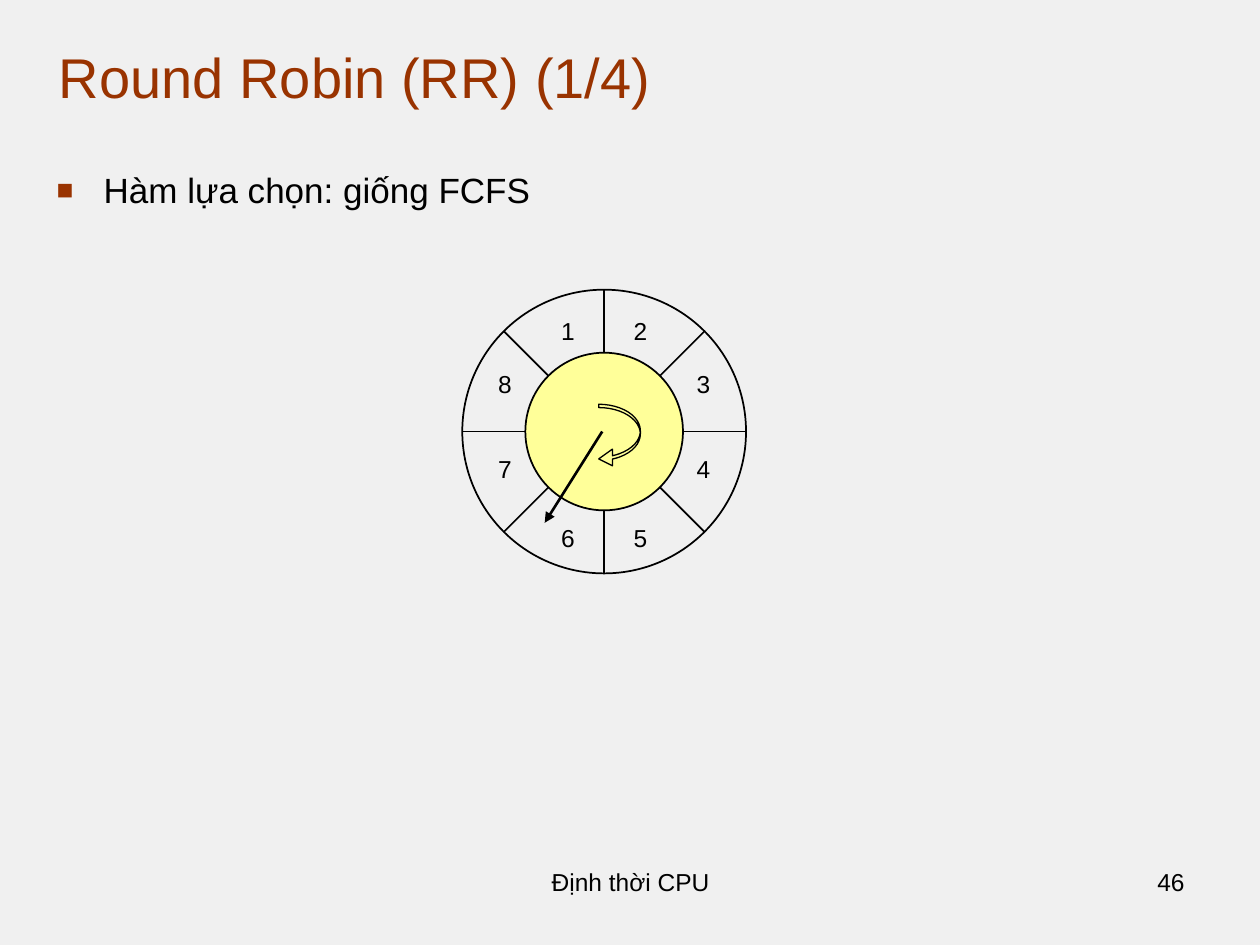
from dataclasses import dataclass
from math import cos, pi, sin

from lxml.etree import SubElement
from pptx import Presentation
from pptx.dml.color import RGBColor
from pptx.enum.shapes import MSO_CONNECTOR, MSO_SHAPE
from pptx.enum.text import MSO_ANCHOR, PP_ALIGN
from pptx.oxml.ns import qn
from pptx.util import Cm, Pt


@dataclass(frozen=True)
class Theme:
    """Colours, font and type sizes of the slide."""
    background: RGBColor = RGBColor.from_string("F0F0F0")
    accent: RGBColor = RGBColor.from_string("993300")
    ink: RGBColor = RGBColor.from_string("000000")
    hub: RGBColor = RGBColor.from_string("FFFF99")
    font: str = "Arial"
    title: int = 32
    body: int = 20
    small: int = 14


THEME = Theme()


def add_text(s, box, text, size, color=THEME.ink, align=PP_ALIGN.LEFT,
             anchor=MSO_ANCHOR.TOP, wrap=True):
    """Place one line of text in a box and return its paragraph."""
    tf = s.shapes.add_textbox(*map(Cm, box)).text_frame
    tf.word_wrap = wrap
    tf.vertical_anchor = anchor
    p = tf.paragraphs[0]
    p.text = text
    p.alignment = align
    r = p.runs[0]
    r.font.name = THEME.font
    r.font.size = Pt(size)
    r.font.color.rgb = color
    return p


def add_outline(s, kind, box, width, fill=None):
    """Place a preset shape with a black outline and an optional fill."""
    sp = s.shapes.add_shape(kind, *map(Cm, box))
    sp.shadow.inherit = False
    if fill is None:
        sp.fill.background()
    else:
        sp.fill.solid()
        sp.fill.fore_color.rgb = fill
    sp.line.color.rgb = THEME.ink
    sp.line.width = Pt(width)
    return sp


def add_line(s, start, end, width, arrow=False):
    """Draw a straight line, with a triangle at its end if asked."""
    line = s.shapes.add_connector(MSO_CONNECTOR.STRAIGHT, *map(Cm, start + end))
    line.line.color.rgb = THEME.ink
    line.line.width = Pt(width)
    if arrow:
        SubElement(line.line._get_or_add_ln(), qn("a:tailEnd"), type="triangle")
    SubElement(line._element.spPr, qn("a:effectLst"))


def add_bullet(s, box, text):
    """Place a body line with a square bullet in the accent colour."""
    p = add_text(s, box, text, THEME.body)
    pPr = p._p.get_or_add_pPr()
    indent = Cm(0.95)
    pPr.set("marL", str(indent))
    pPr.set("indent", str(-indent))
    color = SubElement(pPr, qn("a:buClr"))
    SubElement(color, qn("a:srgbClr"), val=str(THEME.accent))
    SubElement(pPr, qn("a:buSzPct"), val="80000")
    SubElement(pPr, qn("a:buFont"), typeface=THEME.font)
    SubElement(pPr, qn("a:buChar"), char="■")


def add_wheel(s, left, top, size):
    """Draw the round robin wheel with eight slots, a hub and a pointer."""
    radius = size / 2
    cx, cy = left + radius, top + radius
    add_outline(s, MSO_SHAPE.FLOWCHART_CONNECTOR, (left, top, size, size), 1)
    for i in range(4):
        dx, dy = radius * cos(i * pi / 4), radius * sin(i * pi / 4)
        add_line(s, (cx - dx, cy - dy), (cx + dx, cy + dy), 1)

    hub = radius * 5 / 9
    add_outline(s, MSO_SHAPE.FLOWCHART_CONNECTOR,
                (cx - hub, cy - hub, 2 * hub, 2 * hub), 1, THEME.hub)
    add_line(s, (cx - 0.04, cy), (cx - 1.2, cy + 1.84), 1.5, arrow=True)

    near, far = 0.73, 2.0
    rows = {-2.02: (1, 2, near), -0.95: (8, 3, far),
            0.75: (7, 4, far), 2.15: (6, 5, near)}
    width, height = 0.8, 0.86
    for dy, (west, east, dx) in rows.items():
        for slot, x in ((west, cx - dx), (east, cx + dx)):
            add_text(s, (x - width / 2, cy + dy - height / 2, width, height),
                     str(slot), THEME.small, align=PP_ALIGN.CENTER, wrap=False)

    turn = add_outline(s, MSO_SHAPE.CURVED_LEFT_ARROW,
                       (cx - 0.11, cy - 0.55, 0.84, 1.27), 0.75)
    for i, value in enumerate((0.08, 0.4, 0.33)):
        turn.adjustments[i] = value


def add_footer(s, top, height):
    """Place the chapter name and the slide number."""
    add_text(s, (8.69, top, 8.05, height), "Định thời CPU", THEME.small,
             align=PP_ALIGN.CENTER)
    add_text(s, (18.21, top, 5.92, height), "46", THEME.small,
             align=PP_ALIGN.RIGHT)


def main():
    """Build the slide and save it."""
    prs = Presentation()
    prs.slide_width, prs.slide_height = Cm(25.4), Cm(19.05)
    s = prs.slides.add_slide(prs.slide_layouts[6])
    s.background.fill.solid()
    s.background.fill.fore_color.rgb = THEME.background
    add_footer(s, 17.35, 1.32)
    add_text(s, (0.94, 0.64, 23.39, 1.7), "Round Robin (RR) (1/4)",
             THEME.title, THEME.accent, anchor=MSO_ANCHOR.BOTTOM)
    add_bullet(s, (0.89, 3.28, 23.44, 13.84), "Hàm lựa chọn: giống FCFS")
    add_wheel(s, 9.32, 5.84, 5.72)
    prs.save("out.pptx")


if __name__ == "__main__":
    main()
